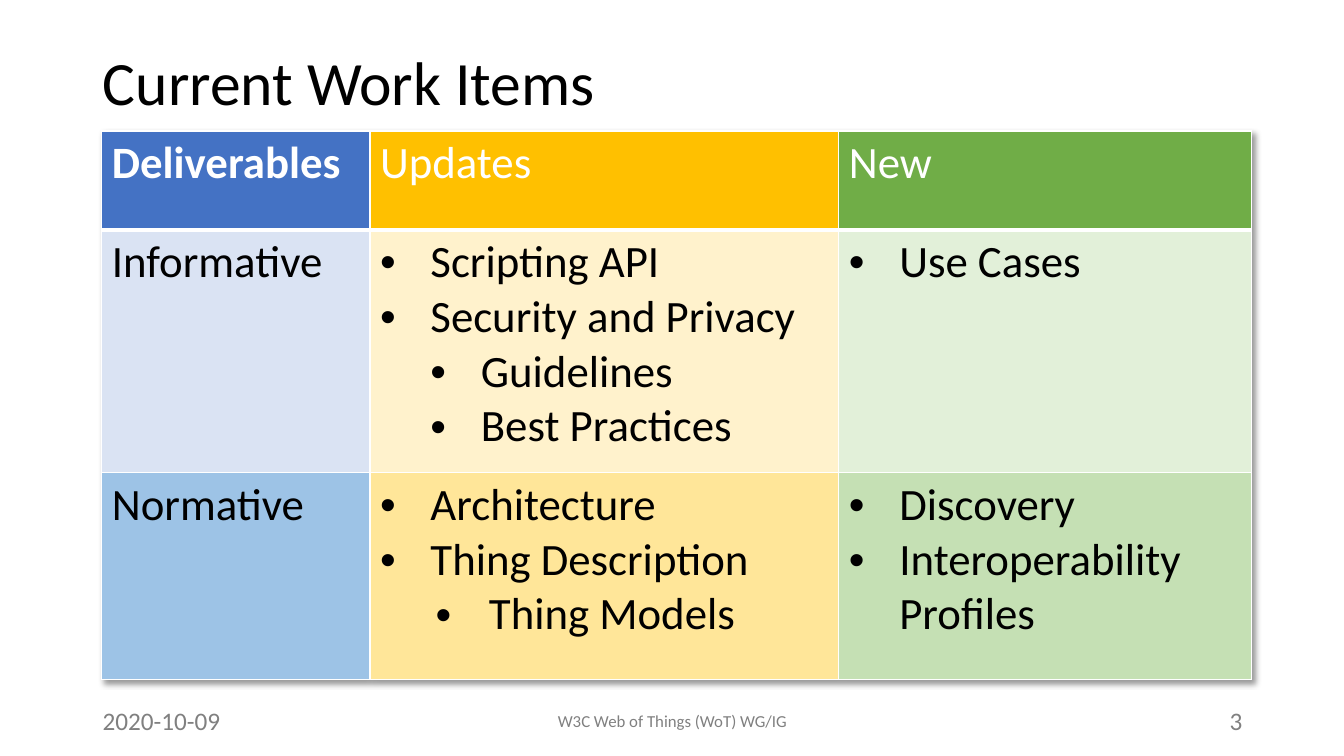
from lxml.etree import SubElement
from pptx import Presentation
from pptx.dml.color import RGBColor
from pptx.enum.text import MSO_ANCHOR, PP_ALIGN
from pptx.oxml.ns import qn
from pptx.util import Inches, Pt

COLORS = {
    "white": "FFFFFF", "black": "000000", "gray": "808080",
    "blue": "4472C4", "gold": "FFC000", "green": "70AD47",
    "pale blue": "DAE3F3", "pale gold": "FFF2CC", "pale green": "E2F0D9",
    "light blue": "9DC3E6", "light gold": "FFE699", "light green": "C5E0B4",
}


def set_font(para, size, color, bold=False):
    para.font.name = "Calibri"
    para.font.size = Pt(size)
    para.font.bold = bold
    para.font.color.rgb = RGBColor.from_string(COLORS[color])


def add_border(cell, side, width):
    line = SubElement(cell._tc.get_or_add_tcPr(), qn(f"a:{side}"), w=str(Pt(width)))
    fill = SubElement(line, qn("a:solidFill"))
    SubElement(fill, qn("a:srgbClr"), val=COLORS["white"])


deck = Presentation()
deck.slide_width = Inches(13.33)
deck.slide_height = Inches(7.5)
page = deck.slides.add_slide(deck.slide_layouts[5])

title = page.shapes.title
title.left, title.top, title.width, title.height = map(Inches, (0.92, 0.4, 11.5, 0.9))
title.text_frame.text = "Current Work Items"
title.text_frame.vertical_anchor = MSO_ANCHOR.MIDDLE
heading = title.text_frame.paragraphs[0]
heading.alignment = PP_ALIGN.LEFT
heading.line_spacing = 0.9
set_font(heading, 44, "black")

footers = [
    ("2020-10-09", 0.92, 3, 18, PP_ALIGN.LEFT),
    ("W3C Web of Things (WoT) WG/IG", 4.42, 4.5, 12, PP_ALIGN.CENTER),
    ("3", 9.42, 3, 18, PP_ALIGN.RIGHT),
]
for text, left, width, size, alignment in footers:
    box = page.shapes.add_textbox(Inches(left), Inches(6.95), Inches(width), Inches(0.4))
    box.text_frame.word_wrap = True
    box.text_frame.vertical_anchor = MSO_ANCHOR.MIDDLE
    para = box.text_frame.paragraphs[0]
    para.text = text
    para.alignment = alignment
    set_font(para, size, "gray")

# Each item is (text, level, left margin, hanging indent).
rows = [
    [
        ("blue", [("Deliverables", 0, 0, 0)]),
        ("gold", [("Updates", 0, 0, 0)]),
        ("green", [("New", 0, 0, 0)]),
    ],
    [
        ("pale blue", [("Informative", 0, 0, 0)]),
        ("pale gold", [
            ("Scripting API", 0, 0.5, 0.5),
            ("Security and Privacy", 0, 0.5, 0.5),
            ("Guidelines", 1, 1, 0.5),
            ("Best Practices", 1, 1, 0.5),
        ]),
        ("pale green", [("Use Cases", 0, 0.5, 0.5)]),
    ],
    [
        ("light blue", [("Normative", 0, 0, 0)]),
        ("light gold", [
            ("Architecture", 0, 0.5, 0.5),
            ("Thing Description", 0, 0.5, 0.5),
            ("Thing Models", 0, 1.08, 0.53),
        ]),
        ("light green", [
            ("Discovery", 0, 0.5, 0.5),
            ("Interoperability Profiles", 0, 0.5, 0.5),
        ]),
    ],
]
frame = page.shapes.add_table(3, 3, Inches(1.01), Inches(1.3), Inches(11.4), Inches(5.44))
table = frame.table
for column, width in zip(table.columns, (2.66, 4.65, 4.09)):
    column.width = Inches(width)
for row, height in zip(table.rows, (0.98, 2.41, 2.05)):
    row.height = Inches(height)

properties = table._tbl.tblPr
effects = properties.makeelement(qn("a:effectLst"), {})
properties.insert(0, effects)
shadow = SubElement(effects, qn("a:outerShdw"), blurRad=str(Pt(4)), dist=str(Pt(3)),
                    dir="2700000", algn="tl", rotWithShape="0")
shade = SubElement(shadow, qn("a:srgbClr"), val=COLORS["black"])
SubElement(shade, qn("a:alpha"), val="40000")

for row_index, row in enumerate(rows):
    for column_index, (color, items) in enumerate(row):
        cell = table.cell(row_index, column_index)
        for side in ("lnL", "lnR", "lnT", "lnB"):
            heavy = (row_index, side) in ((0, "lnB"), (1, "lnT"))
            add_border(cell, side, 3 if heavy else 1)
        cell.fill.solid()
        cell.fill.fore_color.rgb = RGBColor.from_string(COLORS[color])
        cell.text_frame.text = "\n".join(item[0] for item in items)
        for para, (text, level, margin, hanging) in zip(cell.text_frame.paragraphs, items):
            para.level = level
            if hanging:
                bullet = para._p.get_or_add_pPr()
                bullet.set("marL", str(Inches(margin)))
                bullet.set("indent", str(-Inches(hanging)))
                SubElement(bullet, qn("a:buFont"), typeface="Arial")
                SubElement(bullet, qn("a:buChar"), char="•")
            set_font(para, 32, "black" if row_index else "white", color == "blue")

deck.save("out.pptx")
